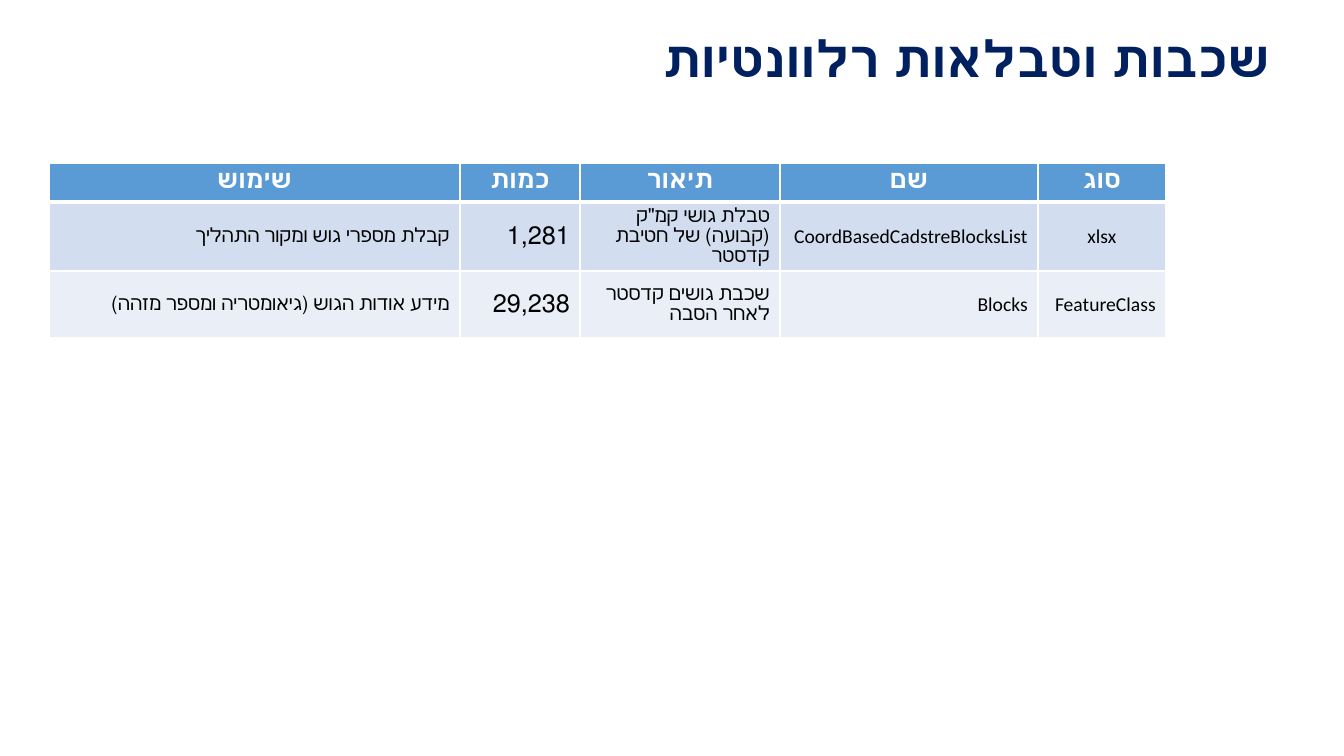
"""Build the slide of relevant layers and tables."""
from lxml import etree
from pptx import Presentation
from pptx.dml.color import RGBColor
from pptx.enum import text
from pptx.oxml import ns

PX = 914400 / 100.8
HUE = {"navy": "002060", "blue": "5B9BD5", "pale": "D2DEEF",
       "light": "EAEFF7", "white": "FFFFFF", "black": "000000"}
MID, TOP = text.MSO_ANCHOR.MIDDLE, text.MSO_ANCHOR.TOP
RIGHT, CENTER = text.PP_ALIGN.RIGHT, text.PP_ALIGN.CENTER
COLS = [411, 120, 200, 258, 128]
ROWS = [39, 54, 67]
FILLS = ["blue", "pale", "light"]
CELLS = [
    ["שימוש", "כמות", "תיאור", "שם", "סוג"],
    ["קבלת מספרי גוש ומקור התהליך", "1,281",
     "טבלת גושי קמ\"ק (קבועה) של חטיבת קדסטר",
     "CoordBasedCadstreBlocksList", "xlsx"],
    ["מידע אודות הגוש (גיאומטריה ומספר מזהה)", "29,238\u00a0",
     "שכבת גושים קדסטר לאחר הסבה", "Blocks", "FeatureClass"],
]


def emu(px):
    """Turn pixels into EMU."""
    return round(px * PX)


def apply(item, **vals):
    """Set each given attribute on the item."""
    for key, val in vals.items():
        setattr(item, key, val)


def write(frame, words, size, hue, bold, align, rtl):
    """Fill a text frame with one formatted paragraph."""
    para = frame.paragraphs[0]
    para.alignment = align
    para._p.get_or_add_pPr().set("rtl", str(int(rtl)))
    run = para.add_run()
    run.text = words
    apply(run.font, size=emu(size * 1.4), name="Calibri", bold=bold)
    run.font.color.rgb = RGBColor.from_string(HUE[hue])
    return para


def edge(cell, head):
    """Draw white borders, with a thick one under the header."""
    props = cell._tc.get_or_add_tcPr()
    for side in "LRTB":
        wide = 3 if head and side == "B" else 1
        line = etree.SubElement(props, ns.qn("a:ln" + side), w=str(wide * 12700))
        fill = etree.SubElement(line, ns.qn("a:solidFill"))
        etree.SubElement(fill, ns.qn("a:srgbClr"), val=HUE["white"])


def title(slide, box):
    """Place the slide title in the box."""
    shape = slide.shapes.title
    apply(shape, **dict(zip(("left", "top", "width", "height"), map(emu, box))))
    frame = shape.text_frame
    apply(frame, vertical_anchor=MID, word_wrap=True,
          auto_size=text.MSO_AUTO_SIZE.NONE)
    para = write(frame, "שכבות וטבלאות רלוונטיות", 36, "navy", True, RIGHT, True)
    para.line_spacing = 0.9


def table(slide, left, top):
    """Place the table of layers with its corner at left, top."""
    size = map(emu, (left, top, sum(COLS), sum(ROWS)))
    grid = slide.shapes.add_table(len(ROWS), len(COLS), *size).table
    for col, width in zip(grid.columns, COLS):
        col.width = emu(width)
    for r, high in enumerate(ROWS):
        grid.rows[r].height = emu(high)
        head = r == 0
        for c, words in enumerate(CELLS[r]):
            cell = grid.cell(r, c)
            edge(cell, head)
            cell.fill.solid()
            cell.fill.fore_color.rgb = RGBColor.from_string(HUE[FILLS[r]])
            cell.vertical_anchor = TOP if head else MID
            mid = head or words == "xlsx"
            write(cell.text_frame, words, 18 if head or c == 1 else 14,
                  "white" if head else "black", head,
                  CENTER if mid else RIGHT, not head and c < 4)


def main():
    """Build and save the deck."""
    deck = Presentation()
    apply(deck, slide_width=emu(1344), slide_height=emu(756))
    slide = deck.slides.add_slide(deck.slide_layouts[5])
    title(slide, (62, 27, 1218, 69))
    table(slide, 49, 163)
    deck.save("out.pptx")


main()
